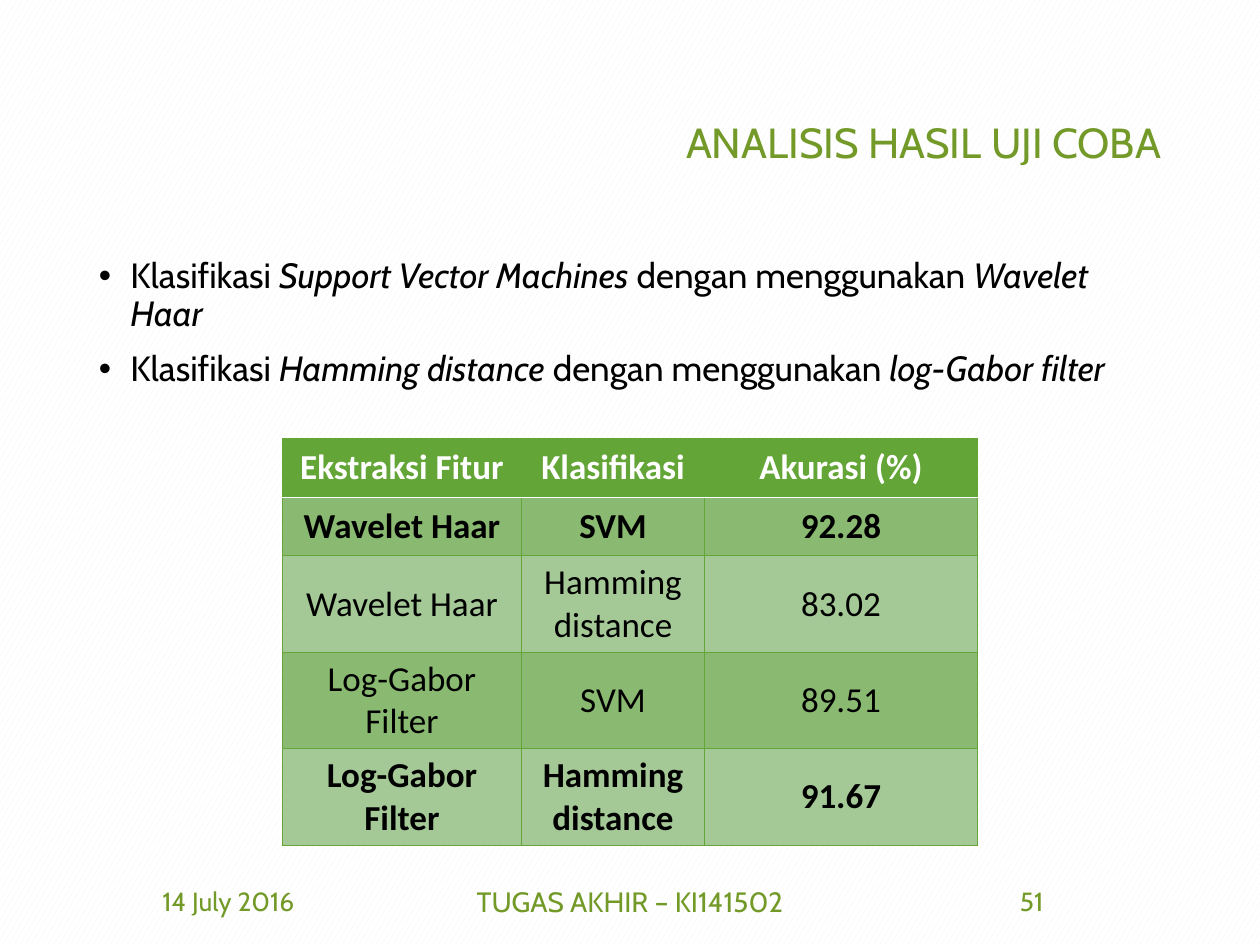
import pptx
import pptx.util
import pptx.dml.color
import pptx.enum.dml
import pptx.enum.text
import pptx.oxml
import pptx.oxml.ns
import lxml.etree

GREEN, TITLE_GREEN, WHITE, BLACK = "63A537", "739A28", "FFFFFF", "000000"
BANDS = ["8ABA71", "A4C896"]
COLUMNS, ROWS = 160, 120  # grid of 1/16 inch
LEFT, CENTER, RIGHT = (pptx.enum.text.PP_ALIGN.LEFT, pptx.enum.text.PP_ALIGN.CENTER,
                       pptx.enum.text.PP_ALIGN.RIGHT)
MIDDLE = pptx.enum.text.MSO_ANCHOR.MIDDLE


def color(hex_code):
    return pptx.dml.color.RGBColor.from_string(hex_code)


class Deck:
    font = "Cabin"
    table_font = "Calibri"

    def __init__(self):
        self.file = pptx.Presentation()
        self.file.slide_width = pptx.util.Inches(10)
        self.file.slide_height = pptx.util.Inches(7.5)
        self.slide = self.file.slides.add_slide(self.file.slide_layouts[6])

    def x(self, columns):
        return round(self.file.slide_width * columns / COLUMNS)

    def y(self, rows):
        return round(self.file.slide_height * rows / ROWS)

    def background(self, front, back):
        fill = self.slide.background.fill
        fill.patterned()
        fill.pattern = pptx.enum.dml.MSO_PATTERN.LARGE_CONFETTI
        fill.fore_color.rgb = color(front)
        fill.back_color.rgb = color(back)

    def style(self, run, size, ink, font, bold=False, italic=False):
        run.font.size = pptx.util.Pt(size)
        run.font.name = font
        run.font.color.rgb = color(ink)
        run.font.bold = bold
        run.font.italic = italic

    def frame(self, left, top, width, height):
        box = self.slide.shapes.add_textbox(self.x(left), self.y(top), self.x(width), self.y(height))
        box.text_frame.word_wrap = True
        return box.text_frame

    def label(self, text, left, top, width, height, size, align=CENTER):
        frame = self.frame(left, top, width, height)
        frame.vertical_anchor = MIDDLE
        frame.text = text
        line = frame.paragraphs[0]
        line.alignment = align
        self.style(line.runs[0], size, TITLE_GREEN, self.font)

    def bullets(self, items, left, top, width, height, size):
        """Each item is a list of phrases; every second phrase is italic."""
        frame = self.frame(left, top, width, height)
        for number, phrases in enumerate(items):
            line = frame.paragraphs[0] if number == 0 else frame.add_paragraph()
            properties = line._p.get_or_add_pPr()
            indent = pptx.util.Inches(0.25)
            properties.set("marL", str(indent))
            properties.set("indent", str(-indent))
            line.alignment = LEFT
            line.line_spacing = 0.9
            line.space_before = pptx.util.Pt(10 if number else 0)
            for tag, key, value in (("a:buFont", "typeface", "Arial"), ("a:buChar", "char", "•")):
                lxml.etree.SubElement(properties, pptx.oxml.ns.qn(tag)).set(key, value)
            for place, phrase in enumerate(phrases):
                run = line.add_run()
                run.text = phrase
                self.style(run, size, BLACK, self.font, italic=place % 2 == 1)

    def borders(self, cell, top, bottom):
        sides = {"L": (GREEN, 0.5), "R": (GREEN, 0.5), "T": top, "B": bottom}
        for place, (side, (ink, points)) in enumerate(sides.items()):
            edge = pptx.oxml.parse_xml(
                f'<a:ln{side} {pptx.oxml.ns.nsdecls("a")} w="{pptx.util.Pt(points)}">'
                f'<a:solidFill><a:srgbClr val="{ink}"/></a:solidFill></a:ln{side}>')
            cell._tc.get_or_add_tcPr().insert(place, edge)

    def table(self, records, left, top, widths, heights, size):
        table = self.slide.shapes.add_table(
            len(heights), len(widths), self.x(left), self.y(top),
            self.x(sum(widths)), self.y(sum(heights))).table
        table.horz_banding = False
        for column, width in zip(table.columns, widths):
            column.width = self.x(width)
        thin, divider = (GREEN, 0.5), (WHITE, 1)
        for number, (bold, *texts) in enumerate(records):
            table.rows[number].height = self.y(heights[number])
            for cell, text in zip(table.rows[number].cells, texts):
                cell.text = text
                cell.vertical_anchor = MIDDLE
                cell.margin_left = cell.margin_right = pptx.util.Inches(0.07)
                cell.margin_top = cell.margin_bottom = 0
                cell.fill.solid()
                cell.fill.fore_color.rgb = color(BANDS[(number - 1) % 2] if number else GREEN)
                self.borders(cell, divider if number == 1 else thin,
                             thin if number else divider)
                line = cell.text_frame.paragraphs[0]
                line.alignment = CENTER
                self.style(line.runs[0], size, BLACK if number else WHITE, self.table_font, bold)


def main():
    deck = Deck()
    deck.background("F2F2F2", WHITE)

    # Title and compared methods
    margin, content = 11, 138
    deck.label("ANALISIS HASIL UJI COBA", margin, 6.4, content, 23.2, 24, RIGHT)
    methods = [
        ["Klasifikasi ", "Support Vector Machines", " dengan menggunakan ", "Wavelet Haar"],
        ["Klasifikasi ", "Hamming distance", " dengan menggunakan ", "log-Gabor filter"],
    ]
    deck.bullets(methods, margin, 32, content, 76, 20)

    # Accuracy table: bold flag, then the cells
    accuracy = [
        (True, "Ekstraksi Fitur", "Klasifikasi", "Akurasi (%)"),
        (True, "Wavelet Haar", "SVM", "92.28"),
        (False, "Wavelet Haar", "Hamming distance", "83.02"),
        (False, "Log-Gabor Filter", "SVM", "89.51"),
        (True, "Log-Gabor Filter", "Hamming distance", "91.67"),
    ]
    widths = [30.4, 23.2, 34.7]
    heights = [7.45] * 2 + [12.25] * 3
    deck.table(accuracy, (COLUMNS - sum(widths)) / 2, 55.7, widths, heights, 20)

    # Footer
    for text, left, width, size in (("14 July 2016", margin, 36, 15),
                                    ("TUGAS AKHIR – KI141502", 53, 54, 16),
                                    ("51", 113, 36, 15)):
        deck.label(text, left, 111.2, width, 6.4, size)

    deck.file.save("out.pptx")


if __name__ == "__main__":
    main()
